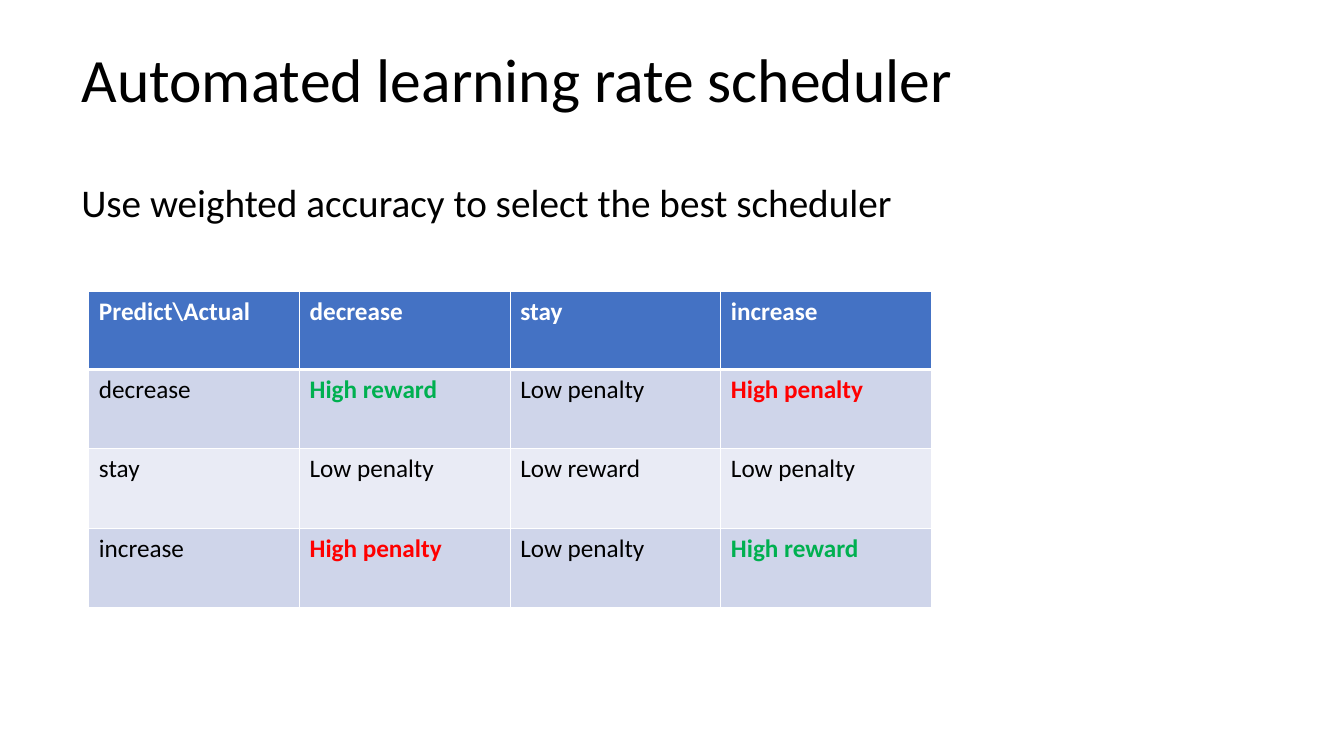
from lxml import etree
from pptx import Presentation
from pptx import util as u
from pptx.dml.color import RGBColor
from pptx.enum import text
from pptx.oxml import ns

TITLE = "Automated learning rate scheduler"
SUBTITLE = "Use weighted accuracy to select the best scheduler"
REWARDS = [
    ["Predict\\Actual", "decrease", "stay", "increase"],
    ["decrease", "High reward", "Low penalty", "High penalty"],
    ["stay", "Low penalty", "Low reward", "Low penalty"],
    ["increase", "High penalty", "Low penalty", "High reward"],
]
HIGHLIGHTS = {"High reward": "00B050", "High penalty": "FF0000"}
HEADER_FILL, BAND_FILLS = "4472C4", ["E9EBF5", "CFD5EA"]
BLACK, WHITE = "000000", "FFFFFF"
FONT = "Calibri"
COLUMN_WIDTH = u.Cm(5.31)
HEADER_HEIGHT, ROW_HEIGHT = u.Cm(1.97), u.Cm(2)


def rgb(color):
    return RGBColor.from_string(color)


def add_run(paragraph, words, size, color=BLACK, bold=False):
    run = paragraph.add_run()
    run.text = words
    run.font.name = FONT
    run.font.size = u.Pt(size)
    run.font.bold = bold
    run.font.color.rgb = rgb(color)


def add_borders(cell, bottom_width):
    """Draw white cell borders; call before the fill, which must follow them in the XML."""
    properties = cell._tc.get_or_add_tcPr()
    for side in "LRTB":
        width = u.Pt(bottom_width if side == "B" else 1)
        line = etree.SubElement(properties, ns.qn(f"a:ln{side}"), w=str(width))
        fill = etree.SubElement(line, ns.qn("a:solidFill"))
        etree.SubElement(fill, ns.qn("a:srgbClr"), val=WHITE)


def main():
    deck = Presentation()
    deck.slide_width, deck.slide_height = u.Cm(33.87), u.Cm(19.05)
    slide = deck.slides.add_slide(deck.slide_layouts[5])

    title = slide.shapes.title
    title.left, title.top = u.Cm(1.8), u.Cm(0.23)
    title.width, title.height = u.Cm(29.21), u.Cm(3.68)
    title.text_frame.vertical_anchor = text.MSO_ANCHOR.MIDDLE
    heading = title.text_frame.paragraphs[0]
    heading.alignment = text.PP_ALIGN.LEFT
    heading.line_spacing = 0.9
    add_run(heading, TITLE, 44)

    subtitle = slide.shapes.add_textbox(u.Cm(1.8), u.Cm(4.37), u.Cm(21.16), u.Cm(1.45))
    subtitle.text_frame.word_wrap = False
    subtitle.text_frame.auto_size = text.MSO_AUTO_SIZE.SHAPE_TO_FIT_TEXT
    add_run(subtitle.text_frame.paragraphs[0], SUBTITLE, 28)

    rows, columns = len(REWARDS), len(REWARDS[0])
    table = slide.shapes.add_table(
        rows, columns, u.Cm(2.24), u.Cm(7.34),
        COLUMN_WIDTH * columns, HEADER_HEIGHT + ROW_HEIGHT * (rows - 1)).table
    for column in table.columns:
        column.width = COLUMN_WIDTH
    for r, labels in enumerate(REWARDS):
        header = r == 0
        table.rows[r].height = HEADER_HEIGHT if header else ROW_HEIGHT
        for c, label in enumerate(labels):
            cell = table.cell(r, c)
            add_borders(cell, 3 if header else 1)
            cell.fill.solid()
            cell.fill.fore_color.rgb = rgb(HEADER_FILL if header else BAND_FILLS[r % 2])
            color = WHITE if header else HIGHLIGHTS.get(label, BLACK)
            add_run(cell.text_frame.paragraphs[0], label, 18, color,
                    bold=header or label in HIGHLIGHTS)

    deck.save("out.pptx")


if __name__ == "__main__":
    main()
